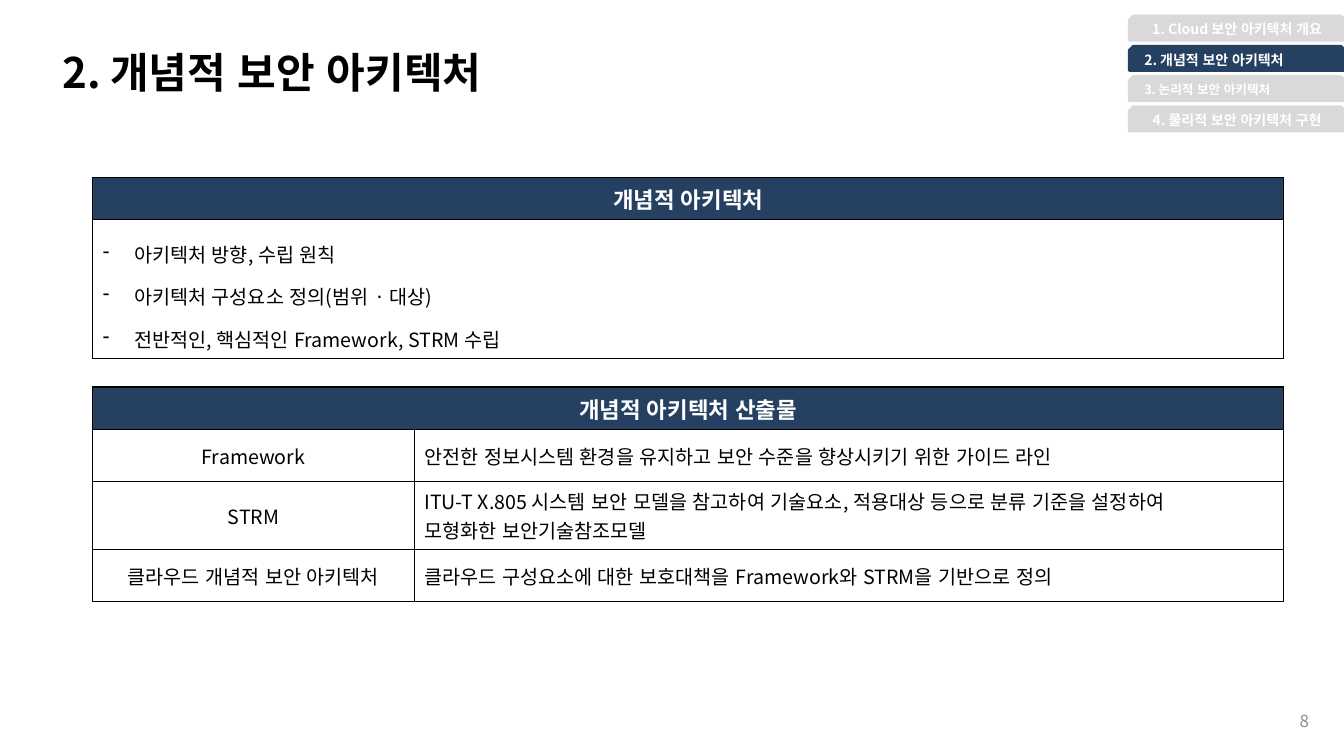
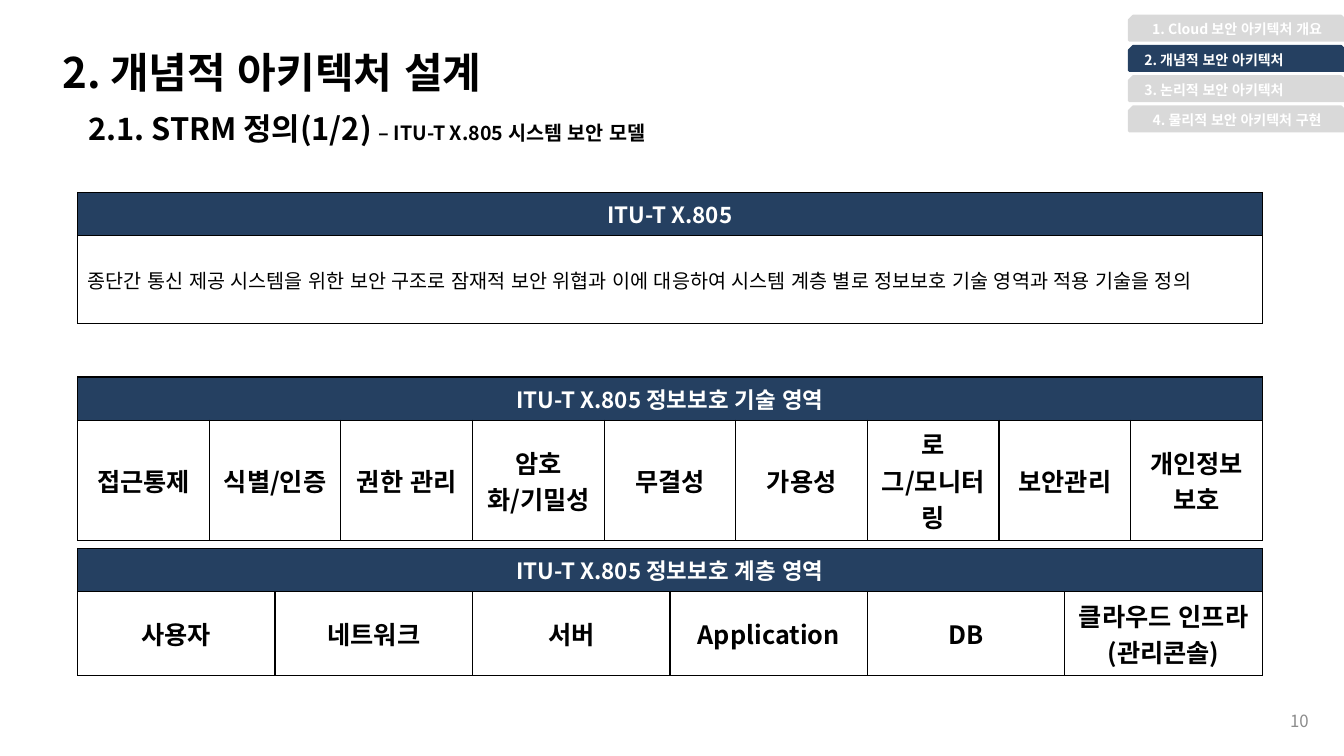
"""Builds two slides on the conceptual security architecture."""
import pptx
import pptx.dml.color
import pptx.enum.lang
import pptx.enum.shapes
import pptx.enum.text
import pptx.oxml
import pptx.oxml.ns
import pptx.util
from dataclasses import dataclass

Inches = pptx.util.Inches
Pt = pptx.util.Pt
ALIGN = pptx.enum.text.PP_ALIGN
MIDDLE = pptx.enum.text.MSO_ANCHOR.MIDDLE


@dataclass(frozen=True)
class Theme:
    font: str = "Noto Sans CJK KR"
    latin: str = "Calibri"
    navy: str = "254061"
    muted: str = "D9D9D9"
    white: str = "FFFFFF"
    black: str = "000000"
    grey: str = "8C8C8C"
    title: int = 30
    subtitle: int = 22
    area: int = 18
    header: int = 16
    body: int = 14
    number: int = 12
    tab: int = 10
    small_tab: int = 9


THEME = Theme()
TABS = [
    ("1. Cloud 보안 아키텍처 개요", ALIGN.CENTER),
    ("2. 개념적 보안 아키텍처", ALIGN.LEFT),
    ("3. 논리적 보안 아키텍처", ALIGN.LEFT),
    ("4. 물리적 보안 아키텍처 구현", ALIGN.CENTER),
]
ACTIVE_TAB = 1

SLIDES = [
    {
        "title": "2. 개념적 보안 아키텍처",
        "number": "8",
        "small_tabs": [2],
        "left": 0.92,
        "width": 11.81,
        "tables": [
            {
                "top": 1.76,
                "heights": [0.42, 1.37],
                "header": ["개념적 아키텍처"],
                "bullets": True,
                "rows": [[[
                    "아키텍처 방향, 수립 원칙",
                    "아키텍처 구성요소 정의(범위 · 대상)",
                    "전반적인, 핵심적인 Framework, STRM 수립",
                ]]],
            },
            {
                "top": 3.84,
                "heights": [0.42, 0.52, 0.67, 0.52],
                "shares": [0.27, 0.73],
                "aligns": [ALIGN.CENTER, ALIGN.LEFT],
                "header": ["개념적 아키텍처 산출물"],
                "rows": [
                    [["Framework"],
                     ["안전한 정보시스템 환경을 유지하고 보안 수준을 향상시키기 위한 가이드 라인"]],
                    [["STRM"],
                     ["ITU-T X.805 시스템 보안 모델을 참고하여 기술요소, 적용대상 등으로 분류 기준을 설정하여",
                      "모형화한 보안기술참조모델"]],
                    [["클라우드 개념적 보안 아키텍처"],
                     ["클라우드 구성요소에 대한 보호대책을 Framework와 STRM을 기반으로 정의"]],
                ],
            },
        ],
    },
    {
        "title": "2. 개념적 아키텍처 설계",
        "subtitle": ["2.1. STRM 정의(1/2) ", "– ITU-T X.805 시스템 보안 모델"],
        "number": "10",
        "small_tabs": [],
        "left": 0.77,
        "width": 11.75,
        "tables": [
            {
                "top": 1.91,
                "heights": [0.43, 0.87],
                "header": ["ITU-T X.805"],
                "rows": [[["종단간 통신 제공 시스템을 위한 보안 구조로 잠재적 보안 위협과 이에 대응하여 "
                           "시스템 계층 별로 정보보호 기술 영역과 적용 기술을 정의"]]],
            },
            {
                "top": 3.74,
                "heights": [0.43, 1.19],
                "areas": True,
                "header": ["ITU-T X.805 정보보호 기술 영역"],
                "rows": [[["접근통제"], ["식별/인증"], ["권한 관리"], ["암호화/기밀성"], ["무결성"],
                          ["가용성"], ["로그/모니터링"], ["보안관리"], ["개인정보 보호"]]],
            },
            {
                "top": 5.44,
                "heights": [0.43, 0.83],
                "areas": True,
                "header": ["ITU-T X.805 ", "정보보호 계층 영역"],
                "rows": [[["사용자"], ["네트워크"], ["서버"], ["Application"], ["DB"],
                          ["클라우드 인프라", "(관리콘솔)"]]],
            },
        ],
    },
]


def rgb(colour):
    return pptx.dml.color.RGBColor.from_string(colour)


def add_span(para, text, size, colour, bold=False, latin=THEME.font):
    span = para.add_run()
    span.text = text
    font = span.font
    font.name = latin
    font.size = Pt(size)
    font.bold = bold
    font.color.rgb = rgb(colour)
    font.language_id = pptx.enum.lang.MSO_LANGUAGE_ID.KOREAN
    east_asian = pptx.oxml.parse_xml(
        f'<a:ea {pptx.oxml.ns.nsdecls("a")} typeface="{THEME.font}"/>')
    font._element.find(pptx.oxml.ns.qn("a:latin")).addnext(east_asian)


def add_text_box(page, left, top, width, height):
    box = page.shapes.add_textbox(Inches(left), Inches(top), Inches(width), Inches(height))
    frame = box.text_frame
    frame.word_wrap = True
    frame.margin_top = frame.margin_bottom = 0
    return frame


def add_tabs(page, small_tabs):
    for index, (text, align) in enumerate(TABS):
        tab = page.shapes.add_shape(
            pptx.enum.shapes.MSO_SHAPE.SNIP_2_SAME_RECTANGLE,
            Inches(11.2), Inches(0.16 + 0.3 * index), Inches(2.14), Inches(0.24))
        tab.shadow.inherit = False
        colour = rgb(THEME.navy if index == ACTIVE_TAB else THEME.muted)
        tab.fill.solid()
        tab.fill.fore_color.rgb = colour
        tab.line.color.rgb = colour
        tab.line.width = Pt(2)
        frame = tab.text_frame
        frame.vertical_anchor = MIDDLE
        if align == ALIGN.LEFT:
            frame.margin_left = Inches(0.13)
        para = frame.paragraphs[0]
        para.alignment = align
        size = THEME.small_tab if index in small_tabs else THEME.tab
        add_span(para, text, size, THEME.white, bold=True)


def style_cell(cell, fill=None):
    cell.vertical_anchor = MIDDLE
    if fill:
        cell.fill.solid()
        cell.fill.fore_color.rgb = rgb(fill)
    else:
        cell.fill.background()
    properties = cell._tc.get_or_add_tcPr()
    for index, side in enumerate("LRTB"):
        border = pptx.oxml.parse_xml(
            f'<a:ln{side} {pptx.oxml.ns.nsdecls("a")} w="{Pt(1)}"><a:solidFill>'
            f'<a:srgbClr val="{THEME.black}"/></a:solidFill></a:ln{side}>')
        properties.insert(index, border)


def make_bullet(para):
    para.line_spacing = 1.5
    properties = para._p.get_or_add_pPr()
    indent = Inches(0.31)
    properties.set("marL", str(indent))
    properties.set("indent", str(-indent))
    properties.append(pptx.oxml.parse_xml(
        f'<a:buChar {pptx.oxml.ns.nsdecls("a")} char="-"/>'))


def fill_cell(cell, lines, align, size, bold, bullets):
    frame = cell.text_frame
    for index, text in enumerate(lines):
        para = frame.add_paragraph() if index else frame.paragraphs[0]
        para.alignment = align
        if bullets:
            make_bullet(para)
        add_span(para, text, size, THEME.black, bold)


def add_grid(page, left, width, data):
    rows = data["rows"]
    count = len(rows[0])
    areas = data.get("areas", False)
    default_align = ALIGN.CENTER if areas else ALIGN.LEFT
    aligns = data.get("aligns", [default_align] * count)
    shares = data.get("shares", [1 / count] * count)
    heights = data["heights"]
    table = page.shapes.add_table(
        len(heights), count, Inches(left), Inches(data["top"]),
        Inches(width), Inches(sum(heights))).table
    for column, share in zip(table.columns, shares):
        column.width = Inches(width * share)
    for row, height in zip(table.rows, heights):
        row.height = Inches(height)
    for index in range(count):
        style_cell(table.cell(0, index), THEME.navy)
    header = table.cell(0, 0)
    if count > 1:
        header.merge(table.cell(0, count - 1))
    para = header.text_frame.paragraphs[0]
    para.alignment = ALIGN.CENTER
    for index, text in enumerate(data["header"]):
        latin = THEME.latin if index else THEME.font
        add_span(para, text, THEME.header, THEME.white, True, latin)
    size = THEME.area if areas else THEME.body
    for row_index, row in enumerate(rows, 1):
        for column_index, lines in enumerate(row):
            cell = table.cell(row_index, column_index)
            style_cell(cell)
            fill_cell(cell, lines, aligns[column_index], size, areas,
                      data.get("bullets", False))


def add_page(deck, data):
    page = deck.slides.add_slide(deck.slide_layouts[6])
    for table in data["tables"]:
        add_grid(page, data["left"], data["width"], table)
    add_tabs(page, data["small_tabs"])
    title = add_text_box(page, 0.52, 0.46, 6.7, 0.61)
    add_span(title.paragraphs[0], data["title"], THEME.title, THEME.black, True)
    if "subtitle" in data:
        subtitle = add_text_box(page, 0.78, 1.09, 8.64, 0.47)
        for text, size in zip(data["subtitle"], (THEME.subtitle, THEME.body)):
            add_span(subtitle.paragraphs[0], text, size, THEME.black, True)
    number = add_text_box(page, 11.52, 7.02, 1.56, 0.27)
    number.vertical_anchor = MIDDLE
    number.paragraphs[0].alignment = ALIGN.RIGHT
    add_span(number.paragraphs[0], data["number"], THEME.number, THEME.grey)


def main():
    deck = pptx.Presentation()
    deck.slide_width = Inches(13.33)
    deck.slide_height = Inches(7.5)
    for data in SLIDES:
        add_page(deck, data)
    deck.save("out.pptx")


if __name__ == "__main__":
    main()
